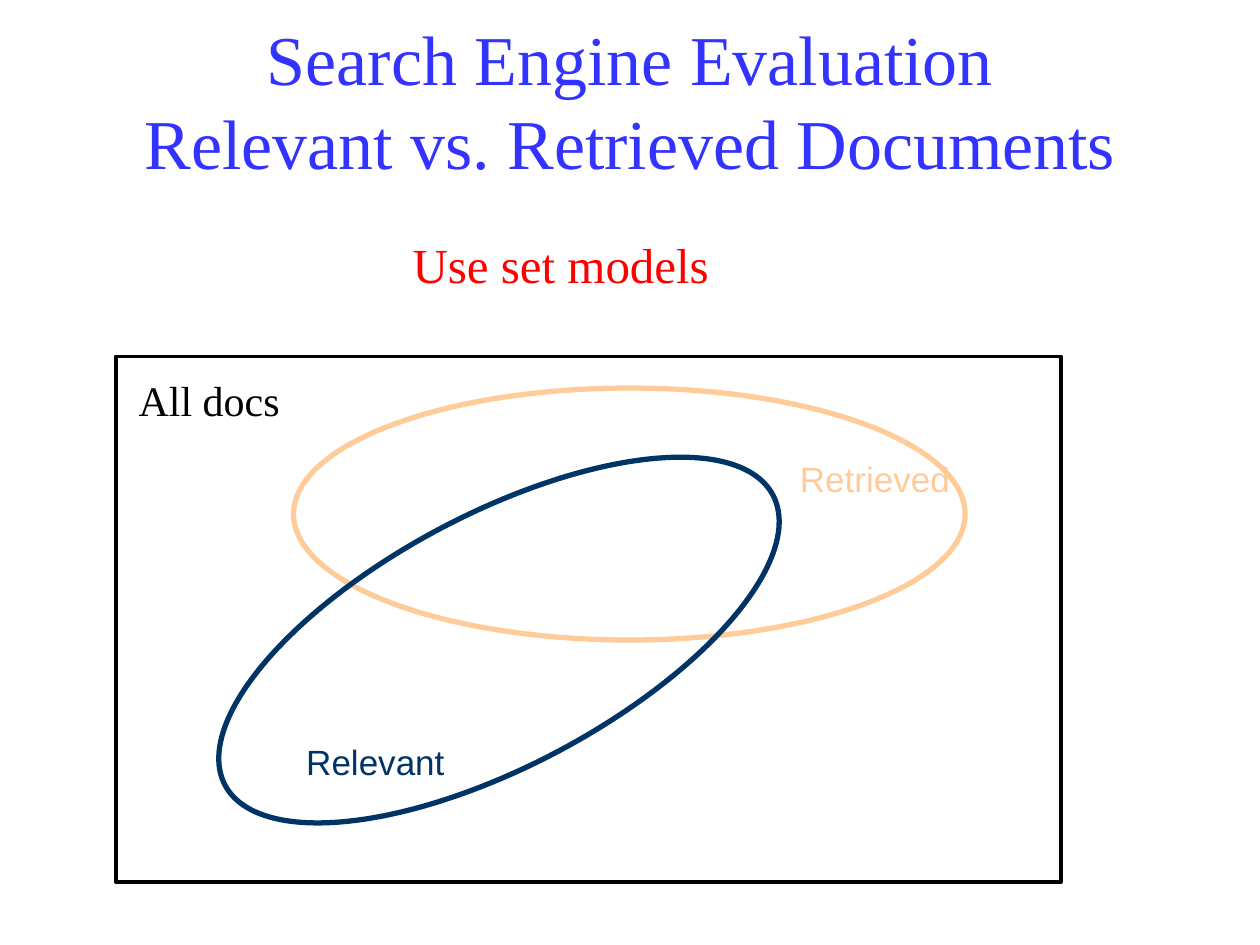
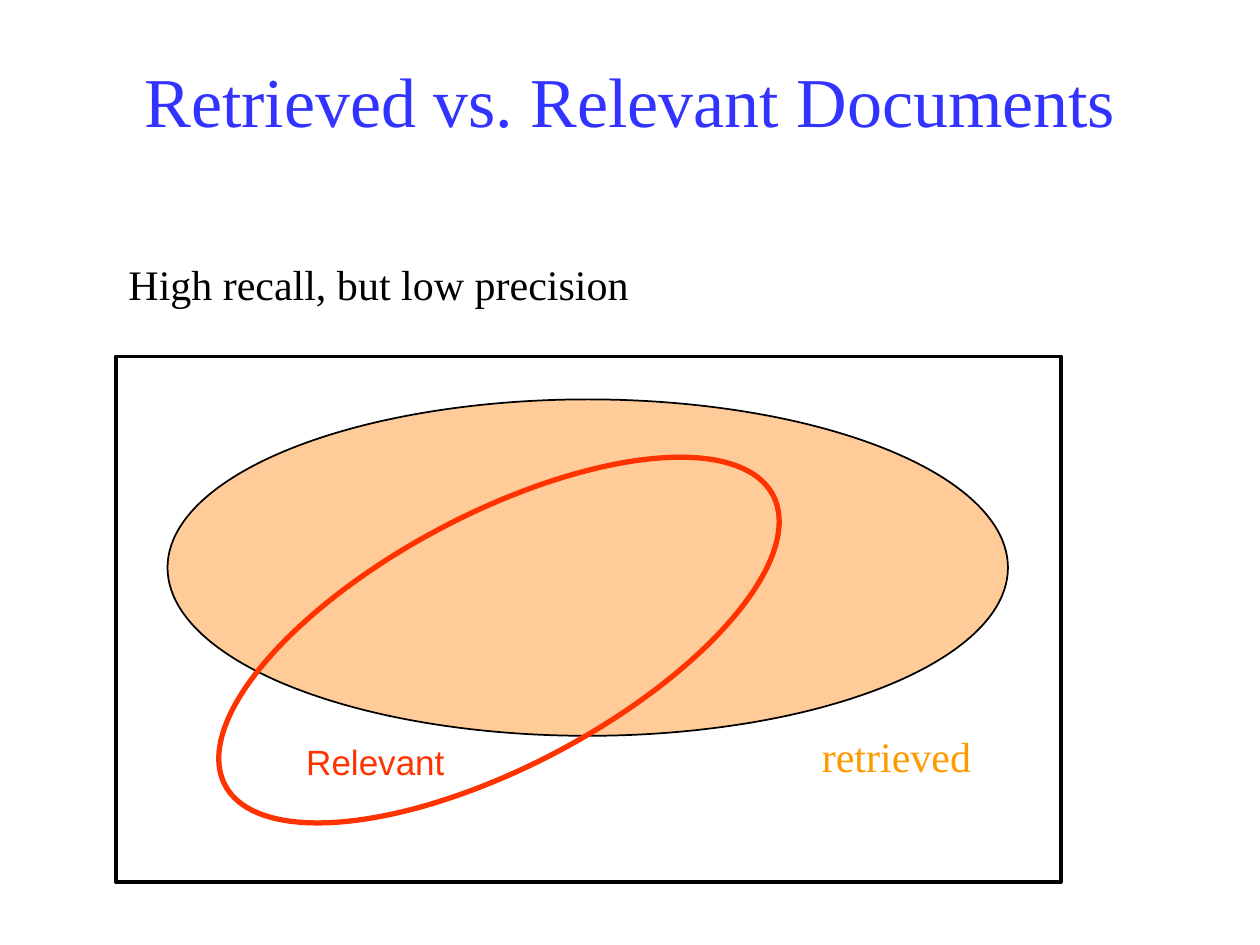
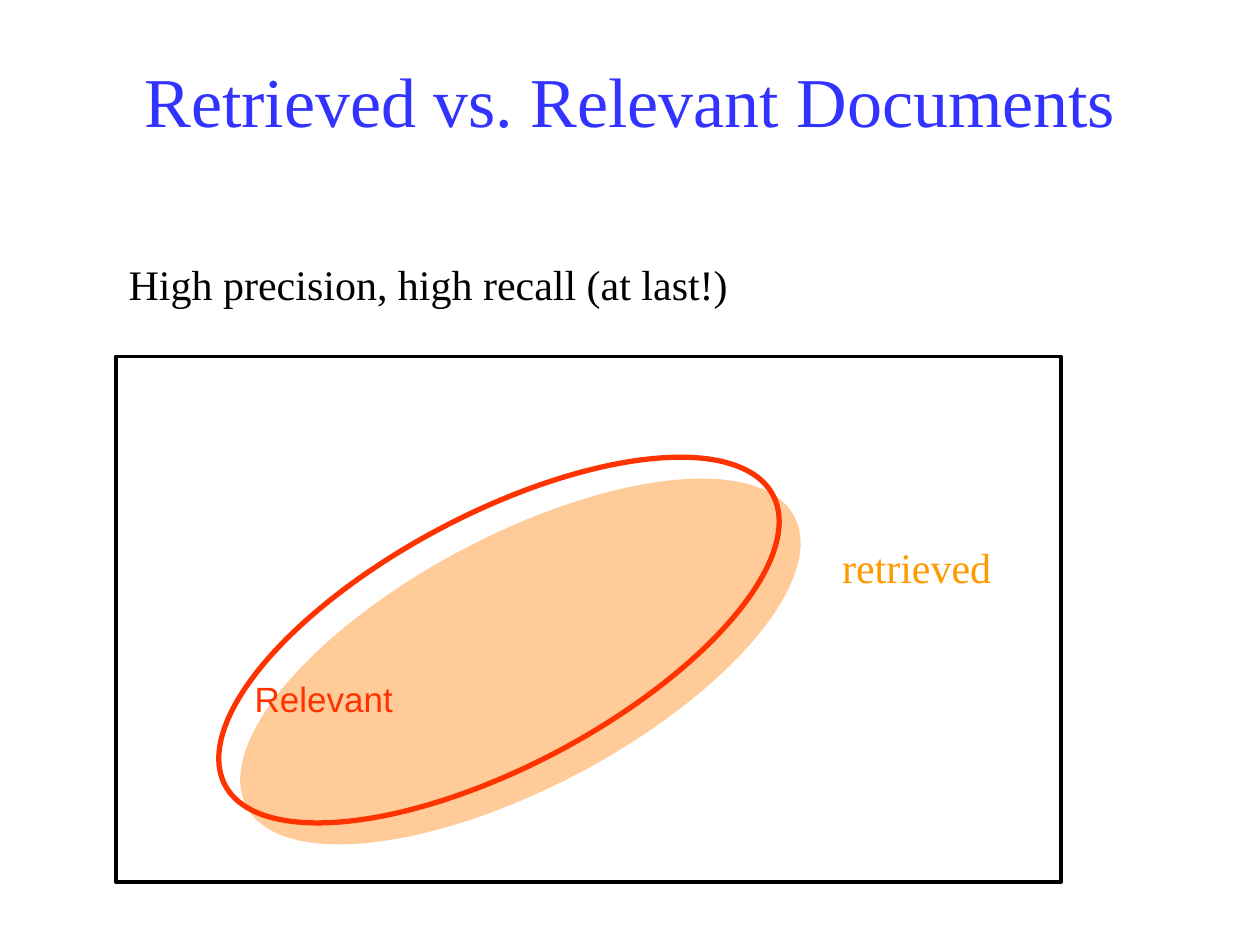
from dataclasses import dataclass

from pptx import Presentation
from pptx.dml.color import RGBColor
from pptx.enum.shapes import MSO_SHAPE
from pptx.enum.text import MSO_ANCHOR, MSO_AUTO_SIZE, PP_ALIGN
from pptx.oxml.ns import qn
from pptx.util import Inches, Pt

OVAL, RECTANGLE = MSO_SHAPE.OVAL, MSO_SHAPE.RECTANGLE
CENTER, MIDDLE = PP_ALIGN.CENTER, MSO_ANCHOR.MIDDLE
FIT_SHAPE, NO_FIT = MSO_AUTO_SIZE.SHAPE_TO_FIT_TEXT, MSO_AUTO_SIZE.NONE
TITLE_ONLY = 5


@dataclass(frozen=True)
class Theme:
    serif: str = "Times New Roman"
    sans: str = "Arial"
    blue: str = "3333FF"
    navy: str = "003366"
    peach: str = "FFCC99"
    orange: str = "FF9900"
    vermilion: str = "FF3300"
    red: str = "FF0000"
    black: str = "000000"
    title_size: int = 40
    lead_size: int = 28
    note_size: int = 24
    set_size: int = 20
    set_line: float = 3
    frame_line: float = 2.25
    thin_line: float = 1


THEME = Theme()

# Places are left, top, width, height in inches.
TITLE_BOX = (0.75, 0.25, 8.5, 1.08)
FRAME_BOX = (0.92, 2.83, 7.5, 4.17)
RELEVANT_BOX = (1.5, 4.08, 4.92, 2)
RELEVANT_TILT = 332.1

LEAD = dict(size=THEME.lead_size, color=THEME.red)
NOTE = dict(size=THEME.note_size, color=THEME.black)
RETRIEVED_NOTE = dict(size=THEME.note_size, color=THEME.orange)
NAVY_LABEL = dict(font=THEME.sans, size=THEME.set_size, color=THEME.navy)
PEACH_LABEL = dict(NAVY_LABEL, color=THEME.peach)
RED_LABEL = dict(NAVY_LABEL, color=THEME.vermilion)

COMPARISON_TITLE = "Retrieved vs. Relevant Documents"
SLIDES = [
    dict(
        title="Search Engine Evaluation\nRelevant vs. Retrieved Documents",
        relevant_color=THEME.navy,
        retrieved=dict(box=(2.33, 3.08, 5.33, 2), line=THEME.peach,
                       line_width=THEME.set_line),
        labels=[
            ("Relevant", (2.33, 5.83, 1.3, 0.43), NAVY_LABEL),
            ("Retrieved", (6.08, 3.58, 1.73, 0.43), PEACH_LABEL),
            ("All docs", (1, 2.92, 1.32, 0.5), NOTE),
            ("Use set models", (3.16, 1.81, 2.58, 0.57), LEAD),
        ],
    ),
    dict(
        title=COMPARISON_TITLE,
        relevant_color=THEME.vermilion,
        retrieved=dict(box=(1.33, 3.17, 6.67, 2.67), fill=THEME.peach,
                       line=THEME.black, line_width=THEME.thin_line),
        labels=[
            ("Relevant", (2.33, 5.83, 1.3, 0.43), RED_LABEL),
            ("High recall, but low precision", (0.92, 2, 4.17, 0.5), NOTE),
            ("retrieved", (6.42, 5.75, 1.39, 0.5), RETRIEVED_NOTE),
        ],
    ),
    dict(
        title=COMPARISON_TITLE,
        relevant_color=THEME.vermilion,
        retrieved=dict(box=(1.67, 4.25, 4.92, 2), fill=THEME.peach,
                       rotation=RELEVANT_TILT),
        labels=[
            ("Relevant", (1.92, 5.33, 1.3, 0.43), RED_LABEL),
            ("High precision, high recall (at last!)", (0.92, 2, 4.96, 0.5), NOTE),
            ("retrieved", (6.58, 4.25, 1.39, 0.5), RETRIEVED_NOTE),
        ],
    ),
]


def inches(box):
    return [Inches(length) for length in box]


def write_text(text_frame, text, *, size, color, font=THEME.serif):
    """Fill the frame with one centred paragraph; a newline is a line break."""
    paragraph = text_frame.paragraphs[0]
    paragraph.text = text
    paragraph.alignment = CENTER
    for run in paragraph.runs:
        run.font.name = font
        run.font.size = Pt(size)
        run.font.color.rgb = RGBColor.from_string(color)


def add_title(slide, text):
    title = slide.shapes.title
    title.left, title.top, title.width, title.height = inches(TITLE_BOX)
    title.text_frame.auto_size = NO_FIT
    title.text_frame.vertical_anchor = MIDDLE
    write_text(title.text_frame, text, size=THEME.title_size, color=THEME.blue)


def add_label(slide, text, box, style):
    label = slide.shapes.add_textbox(*inches(box))
    label.text_frame.word_wrap = False
    label.text_frame.auto_size = FIT_SHAPE
    write_text(label.text_frame, text, **style)


def add_outline(slide, kind, box, *, fill=None, line=None, line_width=0, rotation=0):
    shape = slide.shapes.add_shape(kind, *inches(box))
    shape.shadow.inherit = False
    shape.rotation = rotation
    if fill:
        shape.fill.solid()
        shape.fill.fore_color.rgb = RGBColor.from_string(fill)
    else:
        shape.fill.background()
    if line:
        shape.line.color.rgb = RGBColor.from_string(line)
        shape.line.width = Pt(line_width)
    else:
        shape.line.fill.background()


def set_master_title_size(presentation):
    """Give line breaks in titles the same height as the title text."""
    title_style = presentation.slide_master.element.find(".//" + qn("p:titleStyle"))
    for properties in title_style.iter(qn("a:defRPr")):
        properties.set("sz", str(THEME.title_size * 100))


def add_set_slide(presentation, content):
    slide = presentation.slides.add_slide(presentation.slide_layouts[TITLE_ONLY])
    add_title(slide, content["title"])
    add_outline(slide, OVAL, **content["retrieved"])
    add_outline(slide, OVAL, RELEVANT_BOX, line=content["relevant_color"],
                line_width=THEME.set_line, rotation=RELEVANT_TILT)
    add_outline(slide, RECTANGLE, FRAME_BOX, line=THEME.black,
                line_width=THEME.frame_line)
    for text, box, style in content["labels"]:
        add_label(slide, text, box, style)


def main():
    presentation = Presentation()
    presentation.slide_width, presentation.slide_height = Inches(10), Inches(7.5)
    set_master_title_size(presentation)
    for content in SLIDES:
        add_set_slide(presentation, content)
    presentation.save("out.pptx")


if __name__ == "__main__":
    main()
